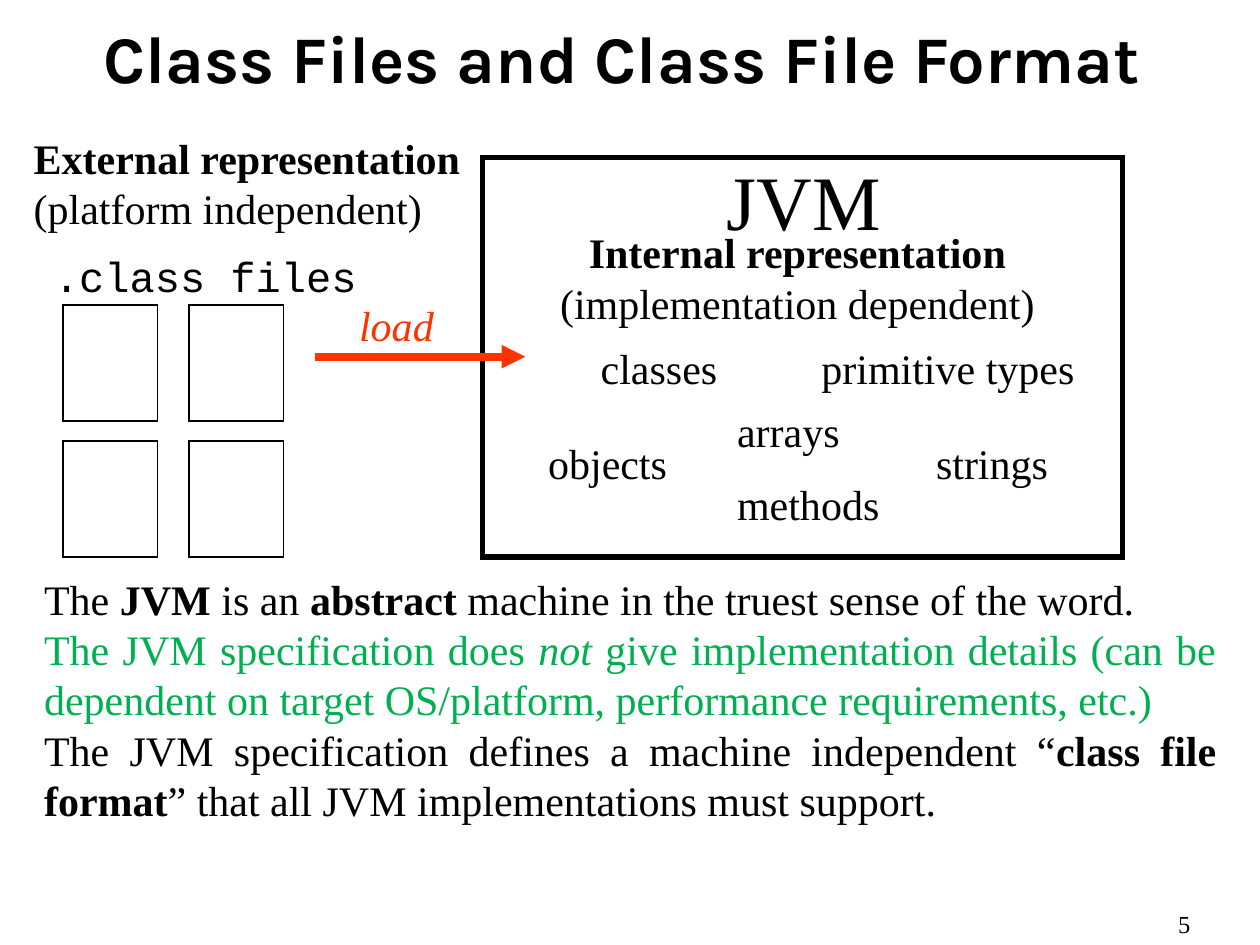
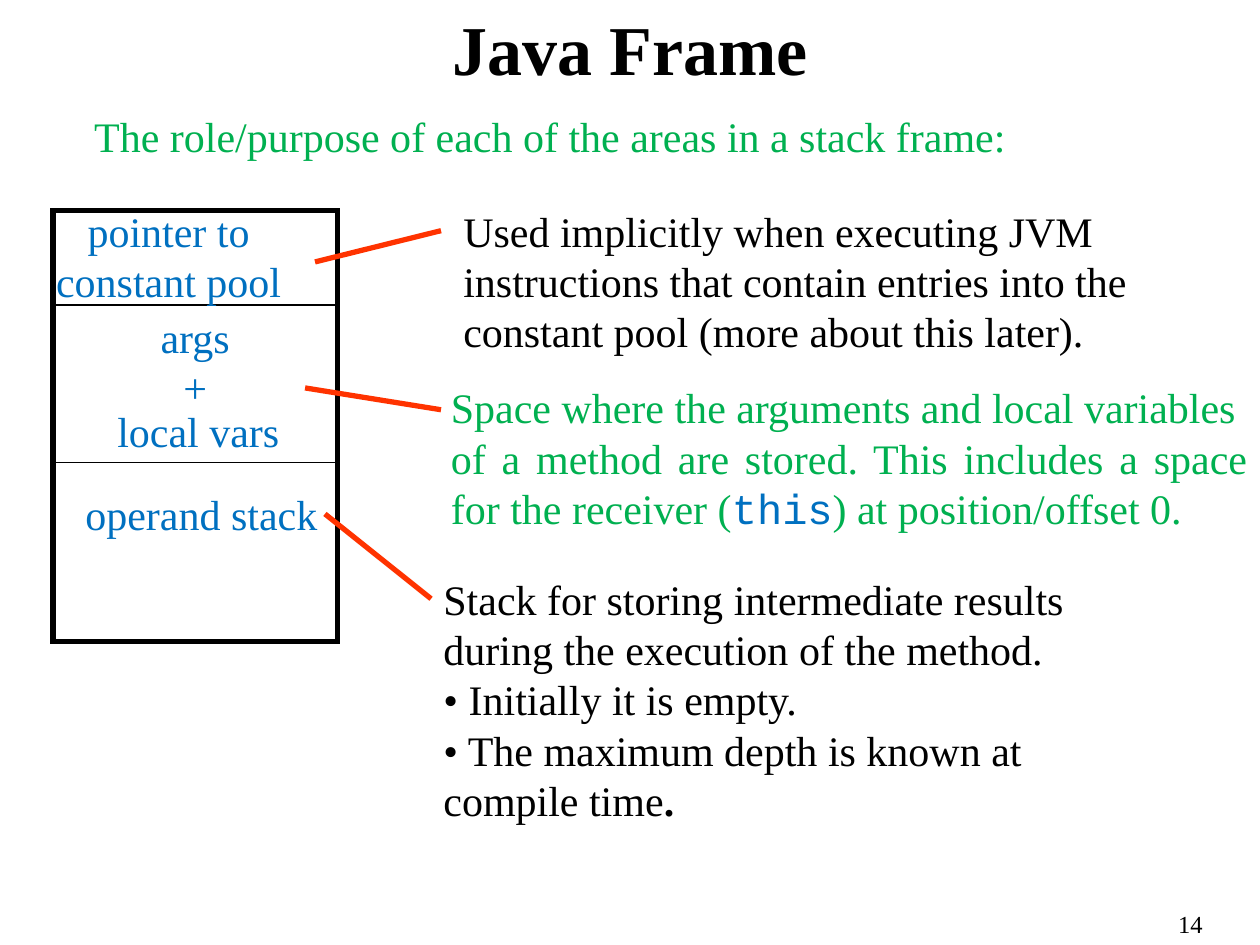
from pptx import Presentation, util as u
from pptx.dml.color import RGBColor
from pptx.enum import shapes, text
from pptx.oxml.ns import qn
from lxml import etree

Cm, Pt = u.Cm, u.Pt
BLACK = RGBColor(0, 0, 0)
WHITE = RGBColor(255, 255, 255)
GREEN = RGBColor(0, 176, 80)
BLUE = RGBColor(0, 112, 192)
RED = RGBColor(255, 51, 0)
SERIF, MONO, HEADING = "Times New Roman", "Courier New", "Karla"
LEFT, CENTER, JUSTIFY = (text.PP_ALIGN.LEFT, text.PP_ALIGN.CENTER,
                         text.PP_ALIGN.JUSTIFY)

# Span styles: what differs from the paragraph's own font
BOLD = {"bold": True}
ITALIC = {"italic": True}
CODE = {"name": MONO, "color": BLUE}

# ---- Content (all places in cm: left, top, width, height) ----
# A paragraph is a list of spans; a span is a string or (string, style).
JVM_NOTES = [
    ["The ", ("JVM ", BOLD), "is an ", ("abstract", BOLD),
     " machine in the truest sense of the word."],
    ["The JVM specification does ", ("not", ITALIC),
     " give implementation details (can be dependent on target OS/platform, "
     "performance requirements, etc.)"],
    ["The JVM specification defines a machine independent “",
     ("class file format", BOLD),
     "” that all JVM implementations must support."],
]
EXTERNAL = [[("External representation", BOLD)], ["(platform independent)"]]
INTERNAL = [[("Internal representation", BOLD)], ["(implementation dependent)"]]
JVM_PARTS = [
    ("objects", (10.8, 8.69, 2.9, 1.27)),
    ("classes", (11.86, 6.78, 2.87, 1.27)),
    ("methods", (14.61, 9.53, 3.38, 1.27)),
    ("arrays", (14.61, 8.05, 2.59, 1.27)),
    ("strings", (18.62, 8.69, 2.77, 1.27)),
    ("primitive types", (16.31, 6.78, 5.61, 1.27)),
]
FRAME_LABELS = [
    (["pointer to", "constant pool"], (0.86, 4.01, 5.08, 2.31)),
    (["args", "+"], (2.97, 6.15, 1.93, 2.31)),
    (["local vars"], (2.11, 8.05, 3.78, 1.27)),
    (["operand stack"], (1.47, 9.73, 5.18, 1.27)),
]
POOL_ROLE = [["Used implicitly when executing JVM"],
             ["instructions that contain entries into the"],
             ["constant pool (more about this later)."]]
ARGS_ROLE = [["Space where the arguments and local variables"],
             ["of a method are stored. This includes a space for the receiver (",
              ("this", CODE), ") at position/offset 0."]]
STACK_ROLE = [["Stack for storing intermediate results during the execution "
               "of the method."],
              ["• Initially it is empty."],
              ["• The maximum depth is known at compile time", (".", BOLD)]]
POINTERS = [(6.35, 5.28, 8.89, 4.65), (6.15, 7.82, 8.89, 8.26),
            (6.55, 10.36, 8.69, 12.07)]


# ---- Helpers ----
def set_font(font, name=None, size=None, color=None, bold=None, italic=None):
    if name:
        font.name = name
    if size:
        font.size = Pt(size)
    if color is not None:
        font.color.rgb = color
    if bold is not None:
        font.bold = bold
    if italic is not None:
        font.italic = italic


def add_text(page, paras, place, color=BLACK, align=LEFT, wrap=False,
             size=24, name=SERIF, italic=None):
    box = page.shapes.add_textbox(*map(Cm, place))
    frame = box.text_frame
    frame.word_wrap = wrap
    frame.auto_size = text.MSO_AUTO_SIZE.SHAPE_TO_FIT_TEXT
    for index, spans in enumerate(paras):
        para = frame.paragraphs[0] if index == 0 else frame.add_paragraph()
        para.alignment = align
        set_font(para.font, name, size, color, italic=italic)
        for item in spans:
            words, style = (item, {}) if isinstance(item, str) else (item)
            span = para.add_run()
            span.text = words
            set_font(span.font, **style)
    return box


def add_rect(page, place, weight, fill=WHITE):
    box = page.shapes.add_shape(shapes.MSO_SHAPE.RECTANGLE, *map(Cm, place))
    box.shadow.inherit = False
    if fill is None:
        box.fill.background()
    else:
        box.fill.solid()
        box.fill.fore_color.rgb = fill
    box.line.color.rgb = BLACK
    box.line.width = Pt(weight)
    # Square corners
    etree.SubElement(box.line._get_or_add_ln(), qn("a:miter"), lim="800000")


def add_line(page, ends, weight, color=BLACK, arrow=False):
    line = page.shapes.add_connector(shapes.MSO_CONNECTOR.STRAIGHT,
                                     *map(Cm, ends))
    line.line.color.rgb = color
    line.line.width = Pt(weight)
    if arrow:
        etree.SubElement(line.line._get_or_add_ln(), qn("a:tailEnd"),
                         type="triangle")
    etree.SubElement(line._element.spPr, qn("a:effectLst"))


def add_page(deck, heading, place, number, name, size):
    page = deck.slides.add_slide(deck.slide_layouts[5])
    title = page.shapes.title
    title.left, title.top, title.width, title.height = map(Cm, place)
    frame = title.text_frame
    frame.text = heading
    frame.word_wrap = True
    frame.auto_size = text.MSO_AUTO_SIZE.NONE
    frame.vertical_anchor = text.MSO_ANCHOR.MIDDLE
    para = frame.paragraphs[0]
    para.alignment = CENTER
    set_font(para.font, name, size, BLACK, bold=True)
    add_text(page, [[number]], (23.5, 18.21, 1.9, 0.84), size=14, wrap=True)
    return page


deck = Presentation()
deck.slide_width, deck.slide_height = Cm(25.4), Cm(19.05)

# ---- Class files ----
page = add_page(deck, "Class Files and Class File Format",
                (0.64, 0.2, 23.8, 1.9), "5", HEADING, 38)
notes = add_text(page, JVM_NOTES, (0.64, 11.43, 24.13, 5.38),
                 align=JUSTIFY, wrap=True)
set_font(notes.text_frame.paragraphs[1].font, color=GREEN)

# External side: a grid of class files
add_text(page, [[".class files"]], (0.84, 4.93, 6.6, 1.27), name=MONO)
for row in range(2):
    for column in range(2):
        add_rect(page, (1.27 + 2.54 * column, 6.15 + 2.74 * row, 1.9, 2.34),
                 0.75)
add_text(page, EXTERNAL, (0.43, 2.54, 9.14, 2.29))

# Internal side: the machine and what it holds
add_rect(page, (9.73, 3.18, 12.9, 8.05), 3, fill=None)
add_text(page, [["JVM"]], (14.4, 2.97, 3.8, 2.11), size=44, wrap=True)
add_text(page, INTERNAL, (10.36, 4.45, 11.43, 2.29), align=CENTER, wrap=True)
for label, place in JVM_PARTS:
    add_text(page, [[label]], place)

# Loading arrow
add_line(page, (6.35, 7.19, 10.59, 7.19), 4.5, RED, arrow=True)
add_text(page, [["load"]], (6.99, 5.92, 2.01, 1.27), RED, italic=True)

# ---- Java frame ----
page = add_page(deck, "Java Frame", (0.64, 0, 24.13, 1.9), "14", SERIF, 40)
add_text(page, [["The role/purpose of each of the areas in a stack frame:"]],
         (1.65, 2.11, 19.08, 1.27), GREEN, wrap=True)

# Frame with its areas
add_rect(page, (1.07, 4.24, 5.74, 8.69), 3)
for divider in (6.15, 9.32):
    add_line(page, (1.07, divider, 6.78, divider), 0.75)
for lines, place in FRAME_LABELS:
    add_text(page, [[line] for line in lines], place, BLUE, CENTER)

# Role of each area
add_text(page, POOL_ROLE, (9.09, 4.01, 14, 3.33), align=JUSTIFY)
add_text(page, ARGS_ROLE, (8.84, 7.57, 16.56, 3.33), GREEN, JUSTIFY, wrap=True)
stack_box = add_text(page, STACK_ROLE, (8.69, 11.43, 15.06, 5.33), wrap=True)
stack_box.fill.solid()
stack_box.fill.fore_color.rgb = WHITE
for ends in POINTERS:
    add_line(page, ends, 3, RED)

deck.save("out.pptx")
